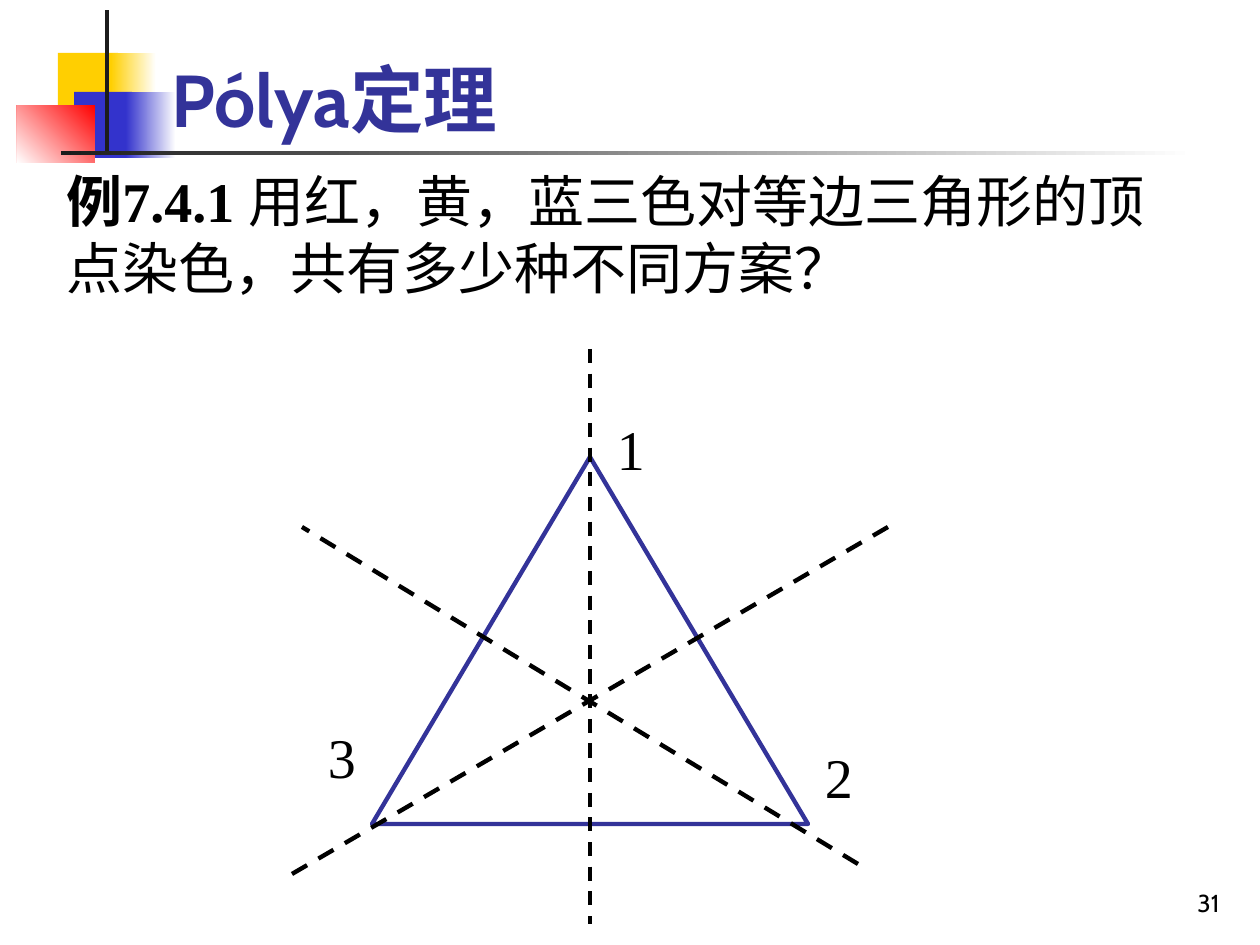
"""Build the slide on colouring the vertices of an equilateral triangle."""
from lxml import etree
from pptx import Presentation
from pptx.dml.color import RGBColor
from pptx.enum.dml import MSO_LINE
from pptx.enum.shapes import MSO_CONNECTOR, MSO_SHAPE
from pptx.enum.text import MSO_ANCHOR, PP_ALIGN
from pptx.oxml.ns import qn
from pptx.util import Pt

RECTANGLE, TRIANGLE = MSO_SHAPE.RECTANGLE, MSO_SHAPE.ISOSCELES_TRIANGLE
STRAIGHT, DASH = MSO_CONNECTOR.STRAIGHT, MSO_LINE.DASH
TOP, MIDDLE, BOTTOM = MSO_ANCHOR.TOP, MSO_ANCHOR.MIDDLE, MSO_ANCHOR.BOTTOM
LEFT, CENTER, RIGHT = PP_ALIGN.LEFT, PP_ALIGN.CENTER, PP_ALIGN.RIGHT
SCALE = 914400 / 126
SERIF, SANS = "Times New Roman", "Cabin"
BLACK, INDIGO, WHITE = "000000", "333399", "FFFFFF"

TITLE = "Pólya定理"
TITLE_BOX = (159, 10, 1073, 139)
QUESTION = [
    ("例7.4.1 ", True),
    ("用红，黄，蓝三色对等边三角形的顶点染色，共有多少种不同方案？", False),
]
QUESTION_BOX = (54, 160, 1111, 147)
PAGE_NUMBER = "31"
PAGE_BOX = (970, 861, 262, 63)

ORNAMENTS = [
    ((58, 53, 60, 66), ["FFCF01"], 0),
    ((111, 53, 45, 66), ["FFCF01", WHITE], 0),
    ((74, 92, 58, 66), ["3333CC"], 0),
    ((126, 92, 50, 66), ["3333CC", WHITE], 0),
    ((17, 105, 78, 58), ["FF0000", WHITE], 225),
    ((105, 10, 4, 145), ["1C1C1C"], 0),
    ((61, 151, 1134, 4), ["1C1C1C", WHITE], 0),
]
TRIANGLE_BOX = (372, 457, 436, 367)
VERTICES = [("1", 581, 408), ("2", 789, 736), ("3", 292, 716)]
VERTEX_SIZE = (100, 81)
AXES = [
    ((590, 349, 590, 924), 2),
    ((292, 874, 888, 527), 2.5),
    ((858, 864, 302, 527), 2.5),
]


def px(lengths):
    return [round(length * SCALE) for length in lengths]


def color(value):
    return RGBColor.from_string(value)


def add_ornament(shapes, box, colors, angle):
    ornament = shapes.add_shape(RECTANGLE, *px(box))
    ornament.shadow.inherit = False
    ornament.line.fill.background()
    if len(colors) == 1:
        ornament.fill.solid()
        ornament.fill.fore_color.rgb = color(colors[0])
        return
    ornament.fill.gradient()
    ornament.fill.gradient_angle = angle
    for stop, value in zip(ornament.fill.gradient_stops, colors):
        stop.color.rgb = color(value)


def add_axis(shapes, ends, width):
    axis = shapes.add_connector(STRAIGHT, *px(ends))
    axis.line.color.rgb = color(BLACK)
    axis.line.width = Pt(width)
    axis.line.dash_style = DASH
    etree.SubElement(axis.element.spPr, qn("a:effectLst"))


def write(frame, runs, font, size, value=BLACK, anchor=TOP, align=LEFT):
    frame.word_wrap = True
    frame.vertical_anchor = anchor
    paragraph = frame.paragraphs[0]
    paragraph.alignment = align
    for text, bold in runs:
        run = paragraph.add_run()
        run.text = text
        run.font.name = font
        run.font.size = Pt(size)
        run.font.bold = bold
        run.font.color.rgb = color(value)


def add_text(shapes, box, *content, **style):
    write(shapes.add_textbox(*px(box)).text_frame, *content, **style)


def main():
    deck = Presentation()
    deck.slide_width, deck.slide_height = px((1260, 945))
    shapes = deck.slides.add_slide(deck.slide_layouts[5]).shapes

    for ornament in ORNAMENTS:
        add_ornament(shapes, *ornament)
    add_text(shapes, QUESTION_BOX, QUESTION, SERIF, 32, anchor=MIDDLE)

    triangle = shapes.add_shape(TRIANGLE, *px(TRIANGLE_BOX))
    triangle.shadow.inherit = False
    triangle.fill.background()
    triangle.line.color.rgb = color(INDIGO)
    triangle.line.width = Pt(2.5)
    for label, x, y in VERTICES:
        add_text(shapes, (x, y, *VERTEX_SIZE), [(label, False)], SERIF, 32, align=CENTER)
    for axis in AXES:
        add_axis(shapes, *axis)

    title = shapes.title
    title.left, title.top, title.width, title.height = px(TITLE_BOX)
    write(title.text_frame, [(TITLE, True)], SANS, 42, INDIGO, anchor=BOTTOM)
    shapes.element.append(title.element)
    add_text(shapes, PAGE_BOX, [(PAGE_NUMBER, False)], SANS, 14, anchor=BOTTOM, align=RIGHT)

    deck.save("out.pptx")


if __name__ == "__main__":
    main()
